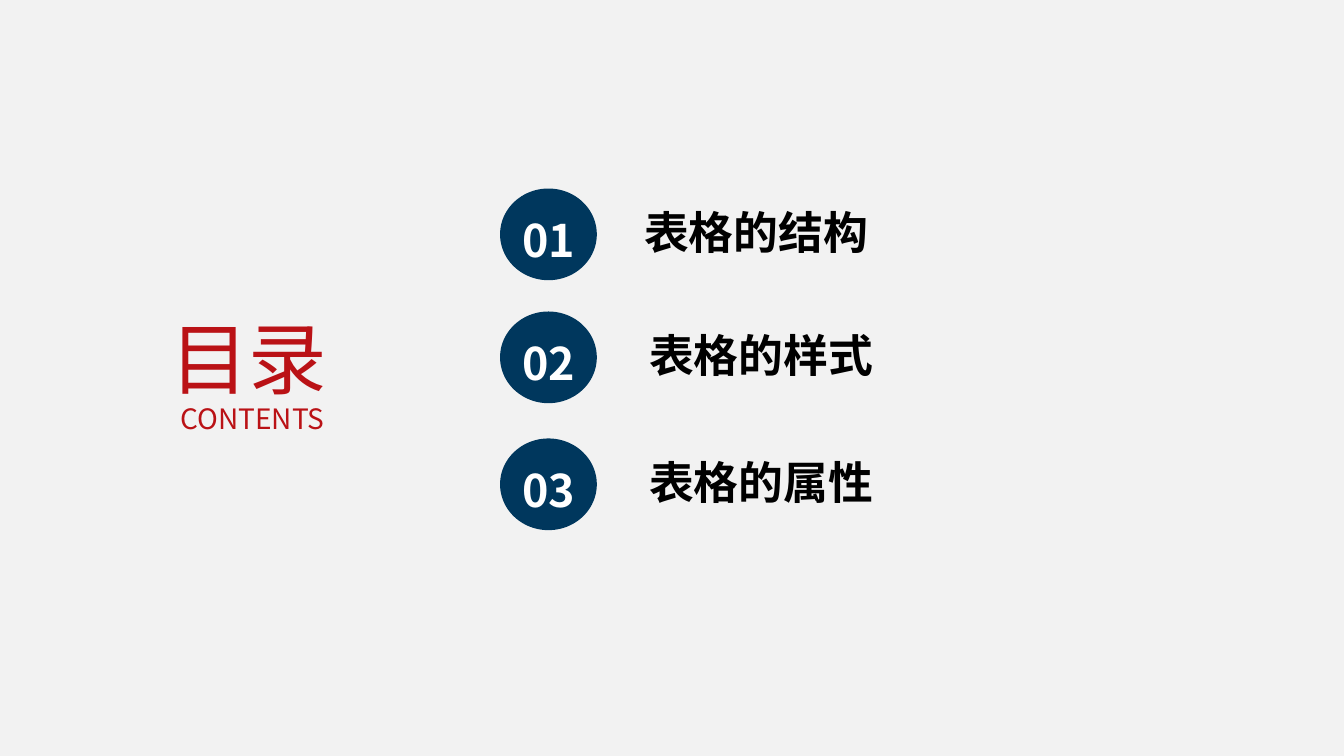
from dataclasses import dataclass

from lxml import etree
from pptx import Presentation
from pptx.dml.color import RGBColor
from pptx.enum.shapes import MSO_SHAPE
from pptx.enum.text import MSO_AUTO_SIZE, PP_ALIGN
from pptx.oxml.ns import qn
from pptx.shapes.autoshape import Shape
from pptx.slide import Slide
from pptx.util import Inches, Pt

ELLIPSE = MSO_SHAPE.OVAL
LEFT, CENTER = PP_ALIGN.LEFT, PP_ALIGN.CENTER
GROW = MSO_AUTO_SIZE.SHAPE_TO_FIT_TEXT

FONT = "Noto Sans CJK SC"
RED, NAVY, BLACK, WHITE, GRAY = "BA1216", "00375D", "000000", "FFFFFF", "F2F2F2"


@dataclass
class Label:
    text: str
    left: float
    top: float
    width: float
    height: float
    size: int
    color: str
    bold: bool = False
    align: PP_ALIGN = CENTER
    line_spacing: float = 1.0


@dataclass
class Chapter:
    number: str
    title: str
    top: float
    title_left: float


HEADINGS = [
    Label("CONTENTS", 1.46, 3.93, 2.09, 0.44, 20, RED),
    Label("目录", 1.38, 2.84, 2.17, 1.23, 56, RED, line_spacing=1.2),
]
CHAPTERS = [
    Chapter("01", "表格的结构", 1.87, 6.29),
    Chapter("02", "表格的样式", 3.09, 6.34),
    Chapter("03", "表格的属性", 4.35, 6.34),
]


def rgb(color: str) -> RGBColor:
    return RGBColor.from_string(color)


def add_label(parent: Slide, label: Label) -> Shape:
    box = parent.shapes.add_textbox(
        Inches(label.left), Inches(label.top), Inches(label.width), Inches(label.height)
    )
    frame = box.text_frame
    frame.text = label.text
    frame.word_wrap = True
    frame.auto_size = GROW
    paragraph = frame.paragraphs[0]
    paragraph.alignment = label.align
    paragraph.line_spacing = label.line_spacing
    run = paragraph.runs[0]
    run.font.size = Pt(label.size)
    run.font.bold = label.bold
    run.font.color.rgb = rgb(label.color)
    run.font.name = FONT
    # East Asian glyphs take their own typeface setting
    etree.SubElement(run._r.get_or_add_rPr(), qn("a:ea"), typeface=FONT)
    return box


def add_chapter(slide: Slide, chapter: Chapter) -> None:
    title = add_label(slide, Label(
        chapter.title, chapter.title_left, chapter.top + 0.11, 6.45, 0.66,
        32, BLACK, bold=True, align=LEFT,
    ))
    disc = slide.shapes.add_shape(
        ELLIPSE, Inches(4.96), Inches(chapter.top), Inches(0.96), Inches(0.91)
    )
    disc.shadow.inherit = False
    disc.fill.solid()
    disc.fill.fore_color.rgb = rgb(NAVY)
    disc.line.fill.background()
    number = add_label(slide, Label(
        chapter.number, 5.05, chapter.top + 0.19, 0.78, 1.21, 32, WHITE, bold=True,
    ))
    slide.shapes.add_group_shape([title, disc, number])


def main() -> None:
    deck = Presentation()
    deck.slide_width, deck.slide_height = Inches(13.33), Inches(7.5)
    contents = deck.slides.add_slide(deck.slide_layouts[6])

    # Background
    contents.background.fill.solid()
    contents.background.fill.fore_color.rgb = rgb(GRAY)

    # Heading on the left
    for heading in HEADINGS:
        add_label(contents, heading)

    # Numbered chapters on the right
    for chapter in CHAPTERS:
        add_chapter(contents, chapter)

    deck.save("out.pptx")


if __name__ == "__main__":
    main()
